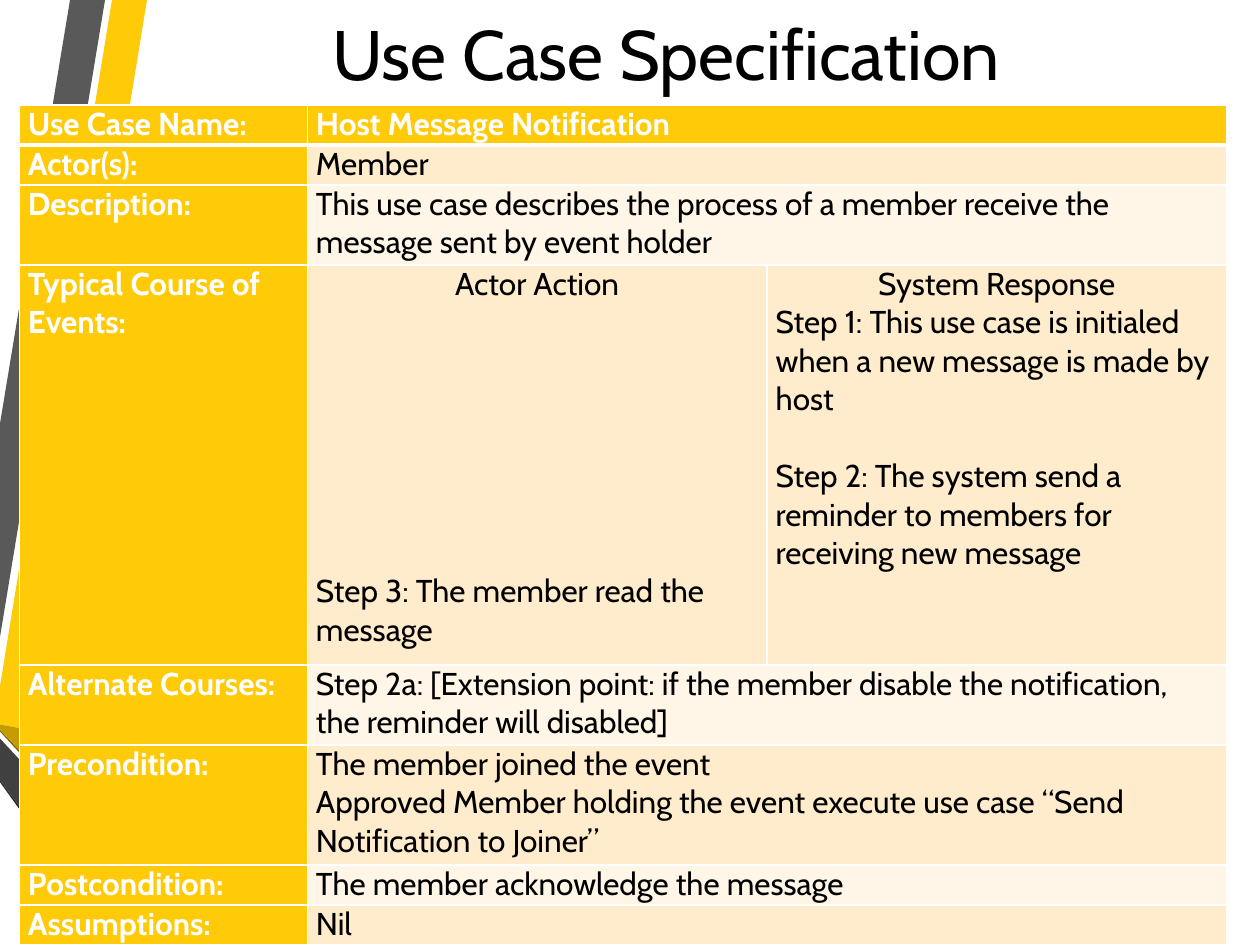
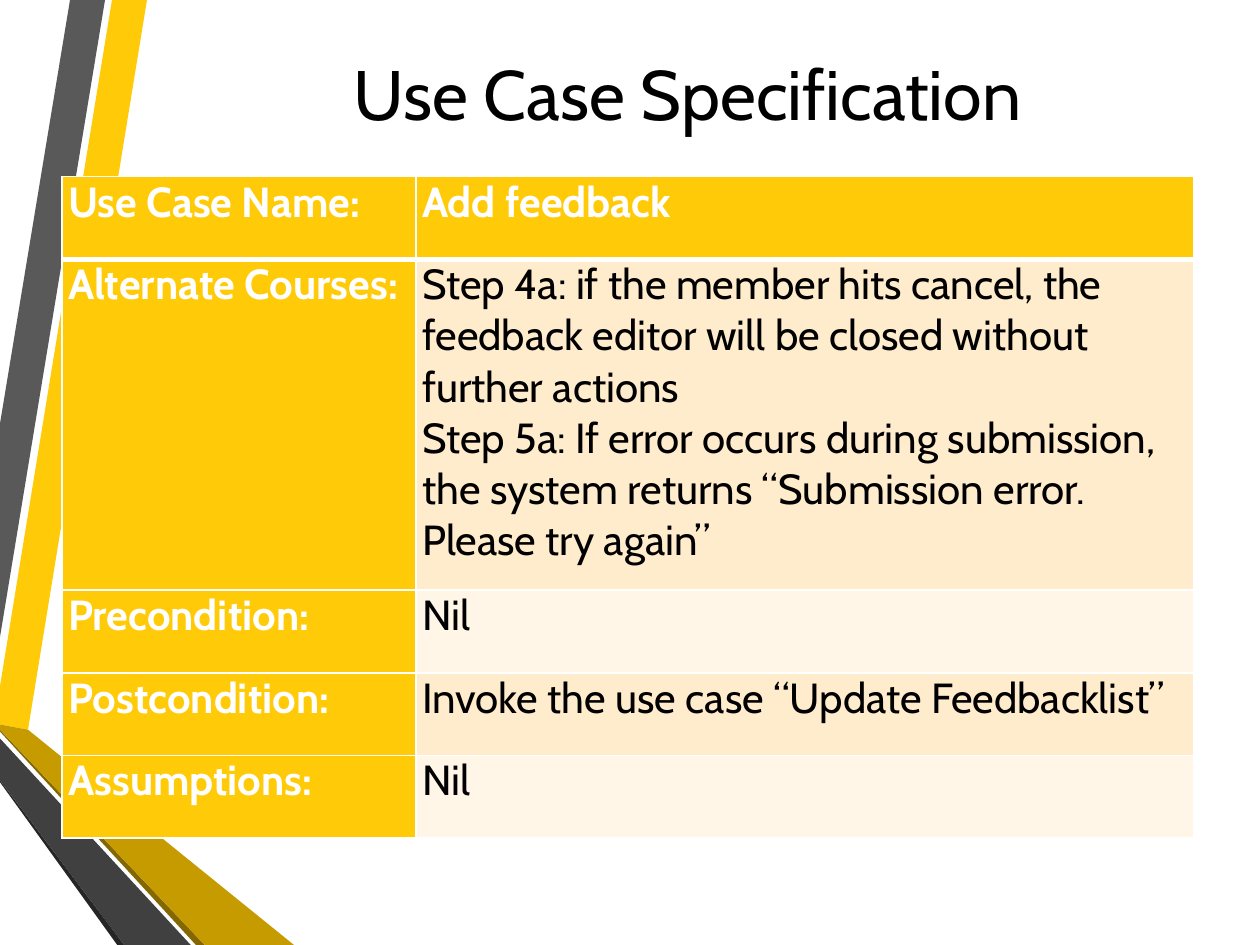
from dataclasses import dataclass

from lxml.etree import SubElement
from pptx import Presentation
from pptx.dml.color import RGBColor
from pptx.enum.text import MSO_ANCHOR, PP_ALIGN
from pptx.oxml.ns import qn
from pptx.util import Pt


@dataclass(frozen=True)
class Theme:
    font: str = "Cabin"
    title_size: float = 40
    text: str = "000000"
    paper: str = "FFFFFF"
    accent: str = "FFCA08"
    accent_dark: str = "C59B00"
    accent_shadow: str = "846700"
    gray: str = "595959"
    gray_dark: str = "404040"
    gray_shadow: str = "262626"
    stripes: tuple = ("FFF6E7", "FFECCC")
    line_spacing: float = 1.22
    border: float = 1
    header_border: float = 3


@dataclass(frozen=True)
class Box:
    left: float
    top: float
    width: float
    height: float

    def lengths(self):
        return Pt(self.left), Pt(self.top), Pt(self.width), Pt(self.height)


@dataclass(frozen=True)
class Line:
    text: str
    align: PP_ALIGN = PP_ALIGN.LEFT
    skipped_lines: int = 0


@dataclass(frozen=True)
class TableFormat:
    size: float
    margin: float
    columns: tuple


THEME = Theme()
PAGE = Box(0, 0, 720, 540)
TITLE_WIDTH, TITLE_HEIGHT = 607, 59.8

RIBBONS = (
    (THEME.accent, ((0, 391.7), (0, 414), (15.8, 416.9), (84.2, 0), (64.1, 0))),
    (THEME.gray, ((59.8, 0), (39.6, 0), (0, 241.9), (0, 364.3))),
    (THEME.gray_shadow, ((0, 445.7), (0, 447.1), (67, 540), (71.3, 540))),
    (THEME.accent_shadow, ((0, 416.9), (0, 417.6), (112.3, 540), (117.4, 540))),
    (THEME.accent_dark, ((0, 416.9), (117.4, 540), (167.8, 540), (15.8, 416.9), (0, 414))),
    (THEME.gray_dark, ((0, 445.7), (71.3, 540), (108.7, 540), (0, 421.9))),
)

MESSAGE_ROWS = (
    (1, "Use Case Name:", ["Host Message Notification"]),
    (1, "Actor(s):", ["Member"]),
    (2, "Description:", [
        "This use case describes the process of a member receive the message sent by event holder"]),
    (10, "Typical Course of Events:", [
        Line("Actor Action", PP_ALIGN.CENTER),
        Line("Step 3: The member read the message", skipped_lines=7),
    ], [
        Line("System Response", PP_ALIGN.CENTER),
        "Step 1: This use case is initialed when a new message is made by host",
        Line("Step 2: The system send a reminder to members for receiving new message",
             skipped_lines=1),
    ]),
    (2, "Alternate Courses:", [
        "Step 2a: [Extension point: if the member disable the notification, "
        "the reminder will disabled]"]),
    (3, "Precondition:", [
        "The member joined the event",
        "Approved Member holding the event execute use case “Send Notification to Joiner”"]),
    (1, "Postcondition:", ["The member acknowledge the message"]),
    (1, "Assumptions:", ["Nil"]),
)

FEEDBACK_ROWS = (
    (1, "Use Case Name:", ["Add feedback"]),
    (4, "Alternate Courses:", [
        "Step 4a: if the member hits cancel, the feedback editor will be closed "
        "without further actions",
        "Step 5a: If error occurs during submission, the system returns "
        "“Submission error. Please try again”"]),
    (1, "Precondition:", ["Nil"]),
    (1, "Postcondition:", ["Invoke the use case “Update Feedbacklist”"]),
    (1, "Assumptions:", ["Nil"]),
)


def color(value):
    return RGBColor.from_string(value)


def write_text(paragraph, text, *, size, text_color=THEME.text, bold=False,
               align=PP_ALIGN.LEFT, space_before=0):
    paragraph.alignment = align
    if space_before:
        paragraph.space_before = Pt(space_before)
    run = paragraph.add_run()
    run.text = text
    run.font.name = THEME.font
    run.font.size = Pt(size)
    run.font.bold = bold
    run.font.color.rgb = color(text_color)


def add_ribbons(slide, box):
    for fill, points in RIBBONS:
        corners = [(box.left + x, box.top + y) for x, y in points]
        builder = slide.shapes.build_freeform(*corners[0], scale=Pt(1))
        builder.add_line_segments(corners[1:], close=True)
        shape = builder.convert_to_shape()
        shape.shadow.inherit = False
        shape.fill.solid()
        shape.fill.fore_color.rgb = color(fill)
        shape.line.fill.background()


def add_title(slide, box, text):
    frame = slide.shapes.add_textbox(*box.lengths()).text_frame
    frame.word_wrap = True
    frame.vertical_anchor = MSO_ANCHOR.MIDDLE
    write_text(frame.paragraphs[0], text, size=THEME.title_size, align=PP_ALIGN.CENTER)


def add_borders(cell, row_index):
    properties = cell._tc.get_or_add_tcPr()
    thick_side = {0: "lnB", 1: "lnT"}.get(row_index)
    for side in ("lnL", "lnR", "lnT", "lnB"):
        width = THEME.header_border if side == thick_side else THEME.border
        border = SubElement(properties, qn(f"a:{side}"), w=str(Pt(width)))
        fill = SubElement(border, qn("a:solidFill"))
        SubElement(fill, qn("a:srgbClr"), val=THEME.paper)


def style_cell(cell, row_index, highlighted, margin):
    add_borders(cell, row_index)
    cell.fill.solid()
    cell.fill.fore_color.rgb = color(THEME.accent if highlighted else THEME.stripes[row_index % 2])
    cell.margin_left = cell.margin_right = Pt(margin)
    cell.margin_top = cell.margin_bottom = 0


def fill_cell(cell, entries, size, highlighted):
    frame = cell.text_frame
    for index, entry in enumerate(entries):
        line = entry if isinstance(entry, Line) else Line(entry)
        paragraph = frame.add_paragraph() if index else frame.paragraphs[0]
        write_text(paragraph, line.text, size=size, bold=highlighted, align=line.align,
                   text_color=THEME.paper if highlighted else THEME.text,
                   space_before=line.skipped_lines * size * THEME.line_spacing)


def add_use_case_table(slide, box, rows, table_format):
    columns = table_format.columns
    table = slide.shapes.add_table(len(rows), len(columns), *box.lengths()).table
    table.first_row = table.horz_banding = False
    for column, width in zip(table.columns, columns):
        column.width = Pt(width)
    unit = box.height / sum(row[0] for row in rows)

    for row_index, (units, label, *contents) in enumerate(rows):
        table.rows[row_index].height = Pt(units * unit)
        for column_index in range(len(columns)):
            highlighted = row_index == 0 or column_index == 0
            style_cell(table.cell(row_index, column_index), row_index, highlighted,
                       table_format.margin)
        if len(contents) + 1 < len(columns):
            last_cell = table.cell(row_index, len(columns) - 1)
            table.cell(row_index, len(contents)).merge(last_cell)
        for column_index, entries in enumerate([[label], *contents]):
            highlighted = row_index == 0 or column_index == 0
            fill_cell(table.cell(row_index, column_index), entries, table_format.size, highlighted)


def add_use_case_slide(presentation, title_position, table_box, rows, table_format):
    slide = presentation.slides.add_slide(presentation.slide_layouts[6])
    slide.background.fill.solid()
    slide.background.fill.fore_color.rgb = color(THEME.paper)
    add_ribbons(slide, PAGE)
    add_title(slide, Box(*title_position, TITLE_WIDTH, TITLE_HEIGHT), "Use Case Specification")
    add_use_case_table(slide, table_box, rows, table_format)


def main():
    presentation = Presentation()
    presentation.slide_width = Pt(PAGE.width)
    presentation.slide_height = Pt(PAGE.height)
    add_use_case_slide(presentation, (77, 0), Box(11, 60, 690, 480), MESSAGE_ROWS,
                       TableFormat(size=18, margin=5, columns=(164.6, 262.7, 262.7)))
    add_use_case_slide(presentation, (89.3, 23), Box(35.5, 101, 646.5, 378), FEEDBACK_ROWS,
                       TableFormat(size=24, margin=3.5, columns=(202.3, 444.2)))
    presentation.save("out.pptx")


if __name__ == "__main__":
    main()
